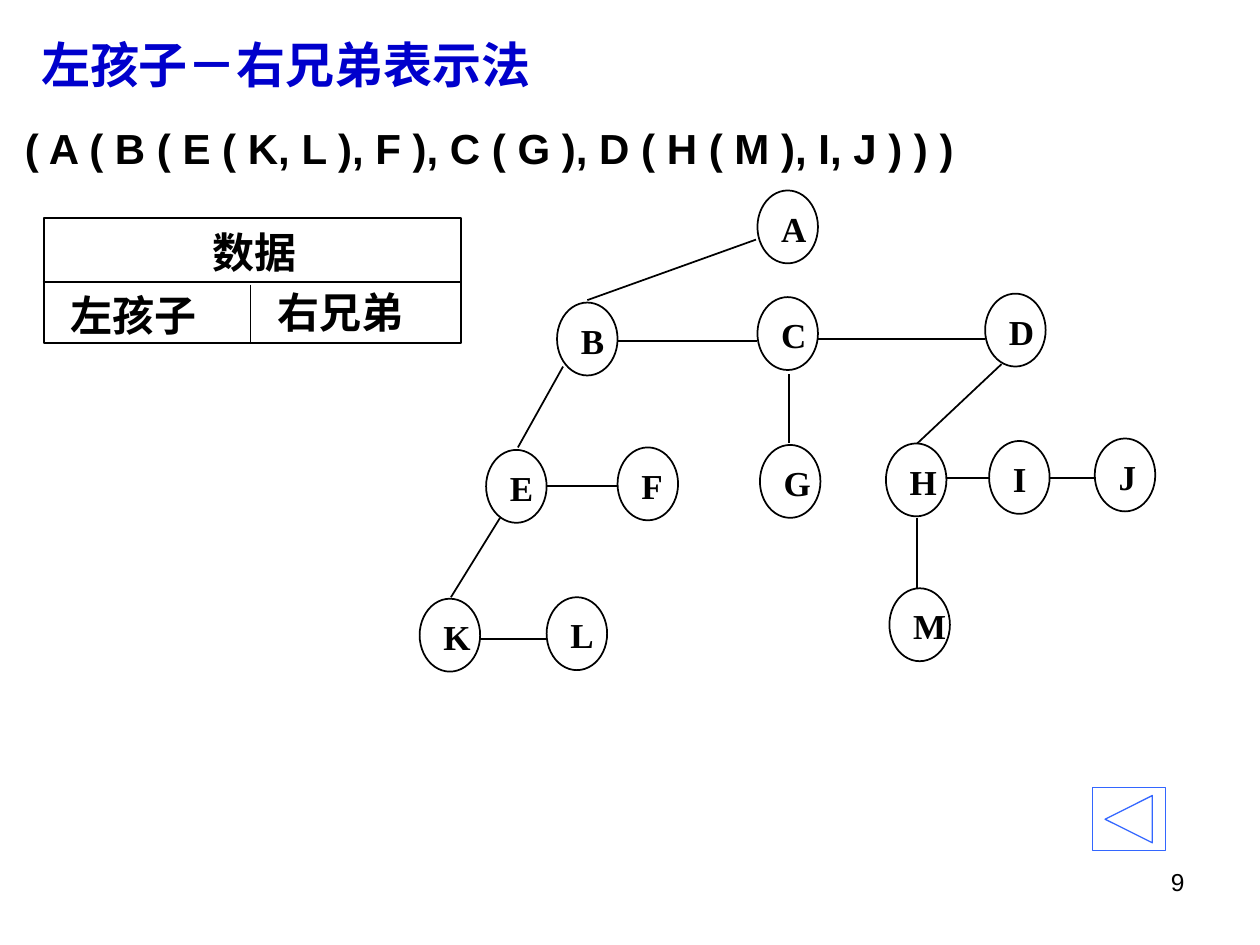
from dataclasses import dataclass

from lxml.etree import SubElement
from pptx import Presentation
from pptx.dml.color import RGBColor
from pptx.enum.shapes import MSO_CONNECTOR as Connector, MSO_SHAPE as Preset
from pptx.enum.text import MSO_ANCHOR as Anchor, PP_ALIGN as Align
from pptx.oxml.ns import qn
from pptx.util import Cm, Pt


@dataclass(frozen=True)
class Theme:
    """Colours, fonts and type sizes of the slide."""
    ink: RGBColor = RGBColor(0, 0, 0)
    heading: RGBColor = RGBColor(0, 0, 0xCC)
    button: RGBColor = RGBColor(0x33, 0x66, 0xFF)
    sans: str = "Arial"
    serif: str = "Times New Roman"
    heading_size: int = 28
    body_size: int = 24
    node_size: int = 20
    page_size: int = 14


THEME = Theme()
NODE_WIDTH, NODE_HEIGHT = 1.22, 1.47
NODES = {
    "A": (15.27, 3.84), "B": (11.23, 6.10), "C": (15.27, 5.99), "D": (19.86, 5.92),
    "E": (9.80, 9.07), "F": (12.45, 9.02), "G": (15.32, 8.97), "H": (17.86, 8.94),
    "I": (19.94, 8.89), "J": (22.07, 8.84), "K": (8.46, 12.07), "L": (11.02, 12.04),
    "M": (17.93, 11.86),
}
SIBLINGS = [("B", "C", 6.88), ("C", "D", 6.83), ("E", "F", 9.80),
            ("H", "I", 9.63), ("I", "J", 9.63), ("K", "L", 12.88)]
FIRST_CHILDREN = [
    (15.24, 4.83, 11.84, 6.05), (11.35, 7.39, 10.44, 9.02), (10.08, 10.44, 9.09, 12.04),
    (15.90, 7.54, 15.90, 8.94), (20.19, 7.34, 18.49, 8.94), (18.49, 10.44, 18.49, 11.86),
]


def add_text(shapes, text, left, top, width, height, *, size, font=THEME.serif,
             color=THEME.ink, bold=True, align=Align.LEFT, anchor=Anchor.TOP):
    """Add one line of formatted text."""
    frame = shapes.add_textbox(Cm(left), Cm(top), Cm(width), Cm(height)).text_frame
    frame.word_wrap = True
    frame.vertical_anchor = anchor
    paragraph = frame.paragraphs[0]
    paragraph.alignment = align
    run = paragraph.add_run()
    run.text = text
    run.font.name = font
    run.font.size = Pt(size)
    run.font.bold = bold
    run.font.color.rgb = color


def add_outline(shapes, preset, left, top, width, height, color=THEME.ink, weight=1):
    """Add an unfilled preset shape and return it."""
    outline = shapes.add_shape(preset, Cm(left), Cm(top), Cm(width), Cm(height))
    outline.shadow.inherit = False
    outline.fill.background()
    outline.line.color.rgb = color
    outline.line.width = Pt(weight)
    return outline


def add_line(shapes, *ends):
    """Add a straight black line between two points."""
    line = shapes.add_connector(Connector.STRAIGHT, *map(Cm, ends))
    line.line.color.rgb = THEME.ink
    line.line.width = Pt(1)
    SubElement(line.element.spPr, qn("a:effectLst"))


def add_node(shapes, letter, left, top):
    """Add a tree node with its letter."""
    add_outline(shapes, Preset.OVAL, left, top, NODE_WIDTH, NODE_HEIGHT)
    add_text(shapes, letter, left + 0.23, top + 0.21, 1.02, 1.11, size=THEME.node_size)


def add_tree(slide):
    """Draw the tree with child and sibling links."""
    tree = slide.shapes.add_group_shape().shapes
    for letter, place in NODES.items():
        add_node(tree, letter, *place)
    for ends in FIRST_CHILDREN:
        add_line(tree, *ends)
    for older, younger, level in SIBLINGS:
        add_line(tree, NODES[older][0] + NODE_WIDTH, level, NODES[younger][0], level)


def add_record(slide):
    """Draw the layout of one record: data, left child, right sibling."""
    record = slide.shapes.add_group_shape().shapes
    add_outline(record, Preset.RECTANGLE, 0.89, 4.39, 8.41, 2.52)
    add_line(record, 0.86, 5.69, 9.32, 5.69)
    add_line(record, 5.05, 5.74, 5.05, 6.93)
    for field, left, top, width in [("数据", 4.04, 4.45, 2.24), ("左孩子", 1.17, 5.72, 3.1),
                                    ("右兄弟", 5.35, 5.66, 3.1)]:
        add_text(record, field, left, top, width, 1.27, size=THEME.body_size)


def add_back_button(slide):
    """Add the mirrored action button."""
    button = add_outline(slide.shapes, Preset.ACTION_BUTTON_FORWARD_OR_NEXT,
                         22.02, 15.88, 1.47, 1.27, THEME.button, 0.75)
    button.element.spPr.xfrm.set("flipH", "1")


def main():
    """Build and save the slide."""
    deck = Presentation()
    deck.slide_width, deck.slide_height = Cm(25.4), Cm(19.05)
    slide = deck.slides.add_slide(deck.slide_layouts[6])
    add_text(slide.shapes, "9", 18.21, 17.35, 5.92, 1.32, size=THEME.page_size,
             font=THEME.sans, bold=False, align=Align.RIGHT)
    add_text(slide.shapes, "左孩子－右兄弟表示法", 0.58, 0.43, 11.05, 1.7,
             size=THEME.heading_size, font=THEME.sans, color=THEME.heading,
             anchor=Anchor.MIDDLE)
    add_tree(slide)
    add_record(slide)
    add_text(slide.shapes, "( A ( B ( E ( K, L ), F ), C ( G ), D ( H ( M ), I, J ) ) )",
             0.25, 2.34, 20.27, 1.27, size=THEME.body_size, font=THEME.sans)
    add_back_button(slide)
    deck.save("out.pptx")


if __name__ == "__main__":
    main()
